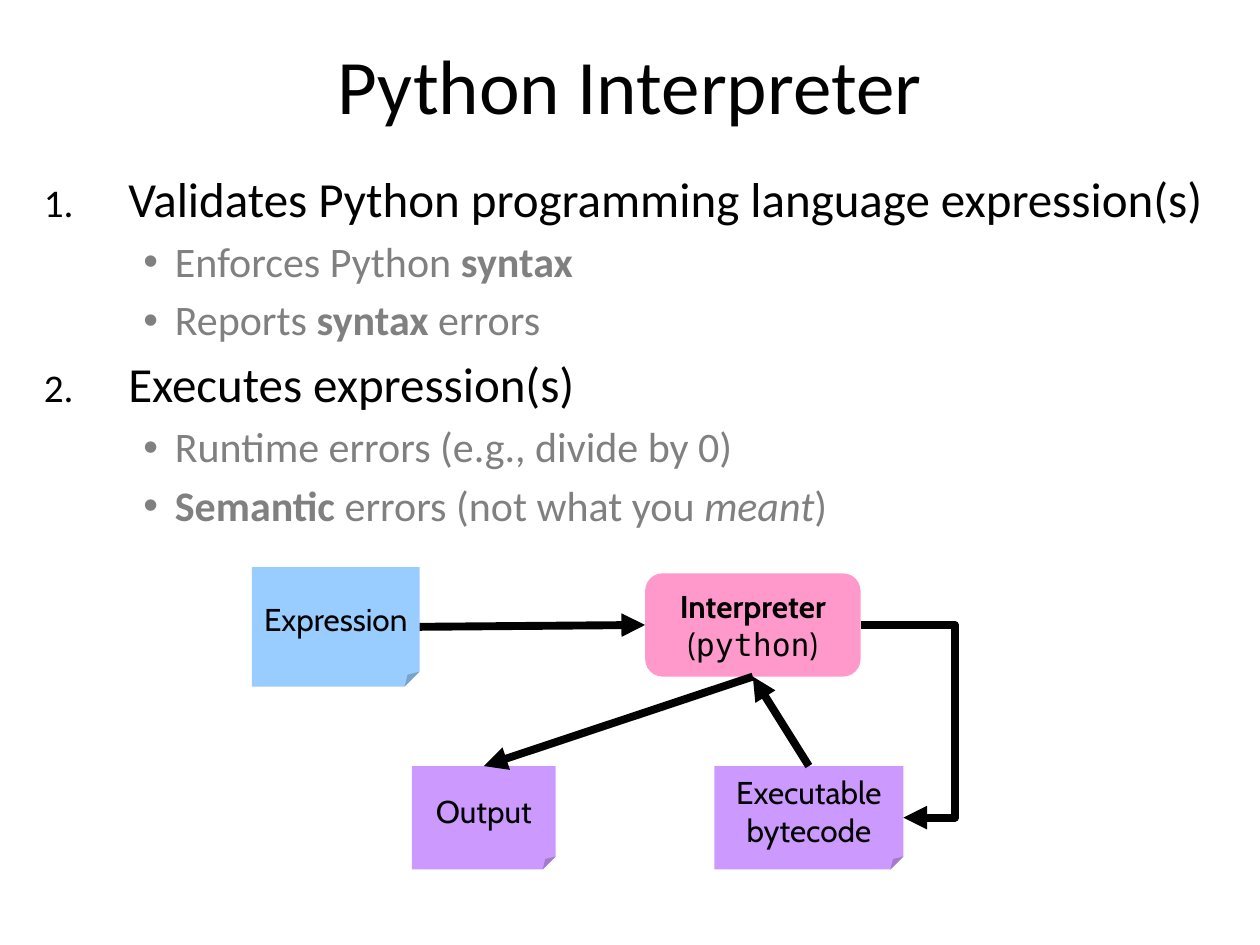
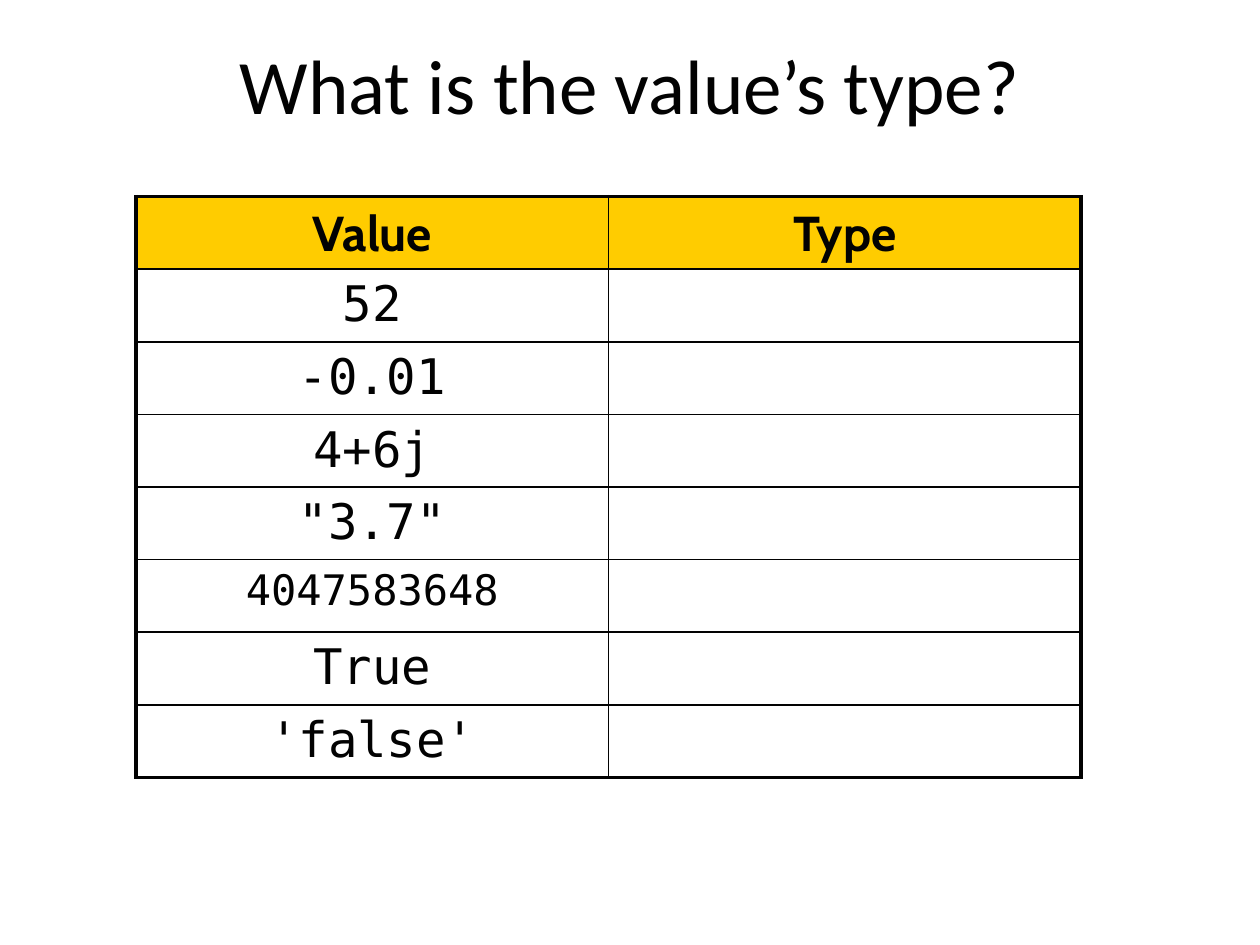
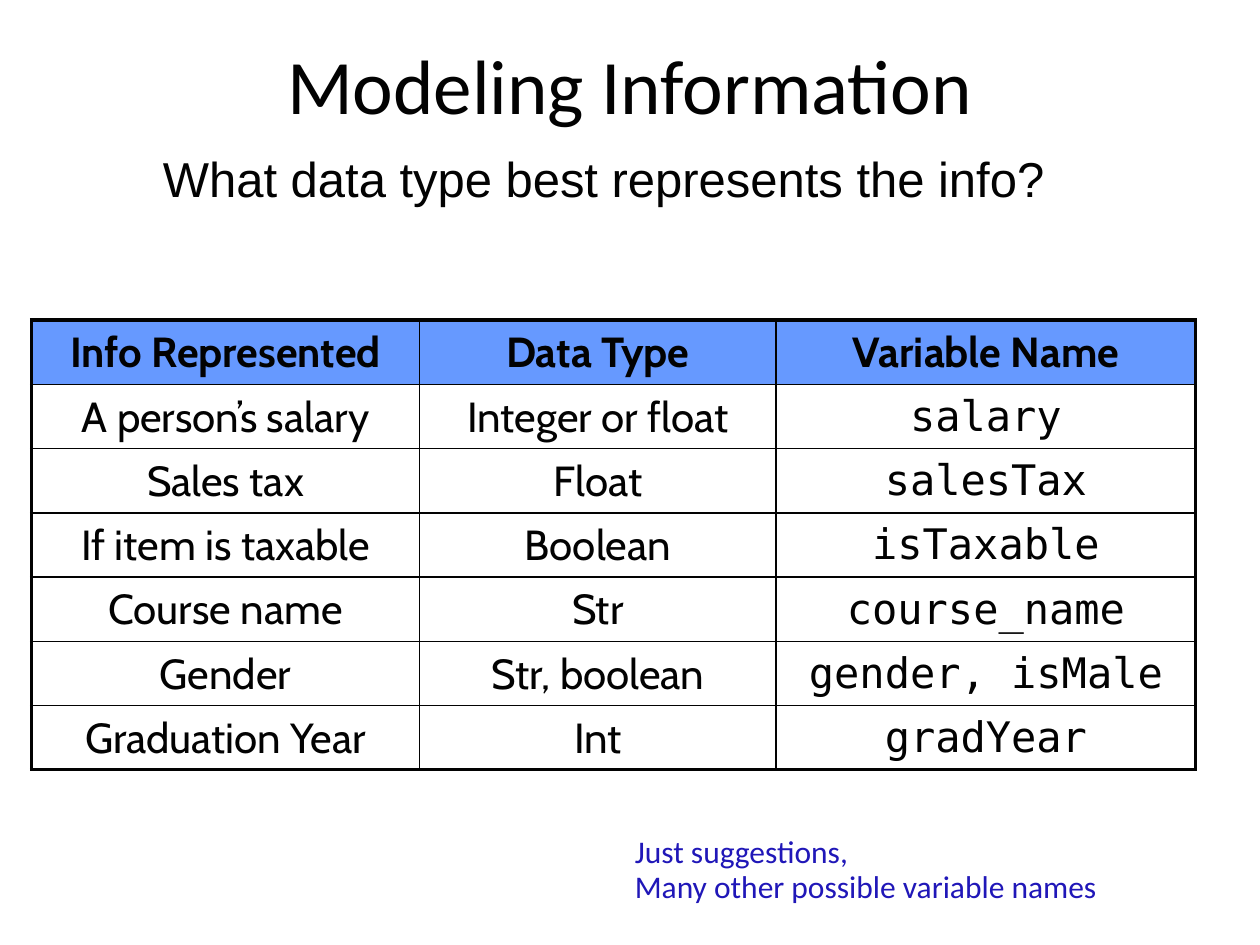
from pptx import Presentation
from pptx.dml.color import RGBColor
from pptx.enum.shapes import MSO_CONNECTOR, MSO_SHAPE
from pptx.enum.text import MSO_ANCHOR, PP_ALIGN
from pptx.oxml.ns import qn
from pptx.util import Inches, Pt
from lxml.etree import SubElement

INK = RGBColor(0x02, 0x02, 0x02)
GRAY = RGBColor(0x80, 0x80, 0x80)
WHITE = RGBColor(0xFF, 0xFF, 0xFF)
NOTE_BLUE = RGBColor(0x20, 0x17, 0xB8)
SKY = RGBColor(0x99, 0xCC, 0xFF)
PINK = RGBColor(0xFF, 0x99, 0xCC)
PURPLE = RGBColor(0xCC, 0x99, 0xFF)
GOLD = RGBColor(0xFF, 0xCC, 0x00)
HEADER_BLUE = RGBColor(0x66, 0x99, 0xFF)

HEADING, LABEL, CODE, PLAIN = "Calibri", "Cabin", "DejaVu Sans Mono", "Arial"
THIN, THICK = Pt(1), Pt(2.25)
BOLD = {"bold": True}


def add_paragraph(text_frame, runs, size=18, font=LABEL, color=INK, bold=False,
                  align=PP_ALIGN.CENTER, spacing=None, before=0):
    """Write one paragraph; runs is text or a list of text and (text, changes)."""
    paragraph = text_frame.paragraphs[0]
    if paragraph.runs:
        paragraph = text_frame.add_paragraph()
    paragraph.alignment = align
    paragraph.space_before = Pt(before)
    if spacing:
        paragraph.line_spacing = spacing
    for part in [runs] if isinstance(runs, str) else runs:
        text, changes = (part, {}) if isinstance(part, str) else part
        run = paragraph.add_run()
        run.text = text
        run.font.size = Pt(size)
        run.font.name = changes.get("font", font)
        run.font.color.rgb = color
        run.font.bold = changes.get("bold", bold)
        run.font.italic = changes.get("italic", False)
    return paragraph


def add_text_box(slide, left, top, width, height, anchor=MSO_ANCHOR.TOP):
    shape = slide.shapes.add_textbox(Inches(left), Inches(top), Inches(width), Inches(height))
    shape.text_frame.word_wrap = True
    shape.text_frame.vertical_anchor = anchor
    return shape


def add_titled_slide(presentation, title):
    slide = presentation.slides.add_slide(presentation.slide_layouts[6])
    box = add_text_box(slide, 0.25, 0.08, 9.5, 1.16, MSO_ANCHOR.MIDDLE)
    add_paragraph(box.text_frame, title, size=44, font=HEADING, spacing=1.02)
    return slide


# Outline list
def set_bullet(paragraph, margin, indent, numbered):
    properties = paragraph._p.get_or_add_pPr()
    properties.set("marL", str(Inches(margin)))
    properties.set("indent", str(Inches(indent)))
    if numbered:
        SubElement(properties, qn("a:buSzPct"), val="80000")
        SubElement(properties, qn("a:buFont"), typeface=HEADING)
        SubElement(properties, qn("a:buAutoNum"), type="arabicPeriod")
    else:
        SubElement(properties, qn("a:buFont"), typeface=PLAIN)
        SubElement(properties, qn("a:buChar"), char="•")


def add_outline(slide, left, top, width, height, sections):
    text_frame = add_text_box(slide, left, top, width, height).text_frame
    shared = {"font": HEADING, "align": PP_ALIGN.LEFT, "spacing": 0.92}
    for heading, points in sections:
        paragraph = add_paragraph(text_frame, heading, size=28, before=8, **shared)
        set_bullet(paragraph, 0.67, -0.67, numbered=True)
        for point in points:
            paragraph = add_paragraph(text_frame, point, size=24, color=GRAY, before=7, **shared)
            paragraph.level = 1
            set_bullet(paragraph, 1.04, -0.25, numbered=False)


# Flow diagram
def set_guide(shape, name, share):
    """Set a preset outline's adjustment as a share of its size."""
    guides = shape._element.spPr.find(qn("a:prstGeom")).find(qn("a:avLst"))
    for guide in list(guides):
        guides.remove(guide)
    SubElement(guides, qn("a:gd"), name=name, fmla=f"val {round(100000 * share)}")


def add_node(slide, kind, left, top, width, height, fill, lines):
    shape = slide.shapes.add_shape(kind, Inches(left), Inches(top), Inches(width), Inches(height))
    shape.shadow.inherit = False
    set_guide(shape, "adj", 0.17 if kind == MSO_SHAPE.ROUNDED_RECTANGLE else 0.125)
    shape.fill.solid()
    shape.fill.fore_color.rgb = fill
    shape.line.fill.background()
    shape.text_frame.word_wrap = False
    shape.text_frame.vertical_anchor = MSO_ANCHOR.MIDDLE
    for line in lines:
        add_paragraph(shape.text_frame, line)
    return shape


def side(shape, across, down):
    """Point on a shape, as shares of its width and height."""
    return shape.left + int(shape.width * across), shape.top + int(shape.height * down)


def add_arrow(slide, start, end, reach=None):
    """Straight arrow, or an elbow whose bend lies reach to the right of its start."""
    kind = MSO_CONNECTOR.ELBOW if reach else MSO_CONNECTOR.STRAIGHT
    connector = slide.shapes.add_connector(kind, *start, *end)
    connector.line.color.rgb = INK
    connector.line.width = Pt(4.5)
    properties = connector._element.spPr
    SubElement(properties.find(qn("a:ln")), qn("a:tailEnd"), type="triangle")
    SubElement(properties, qn("a:effectLst"))
    if reach:
        set_guide(connector, "adj1", reach / (end[0] - start[0]))


def add_flow(slide, left, top):
    note = MSO_SHAPE.FOLDED_CORNER
    lower = top + 1.58
    interpreter = add_node(slide, MSO_SHAPE.ROUNDED_RECTANGLE, left + 3.12, top + 0.05, 1.71, 0.82,
                           PINK, [[("Interpreter", BOLD)], ["(", ("python", {"font": CODE}), ")"]])
    expression = add_node(slide, note, left, top, 1.33, 0.95, SKY, ["Expression"])
    output = add_node(slide, note, left + 1.27, lower, 1.14, 0.82, PURPLE, ["Output"])
    bytecode = add_node(slide, note, left + 3.67, lower, 1.5, 0.82, PURPLE,
                        ["Executable", "bytecode"])
    add_arrow(slide, side(expression, 1, 0.5), side(interpreter, 0, 0.5))
    add_arrow(slide, side(bytecode, 0.5, 0), side(interpreter, 0.5, 1))
    add_arrow(slide, side(interpreter, 1, 0.5), side(bytecode, 1, 0.5), reach=Inches(0.75))
    add_arrow(slide, side(interpreter, 0.5, 1), side(output, 0.5, 0))


# Tables
def set_borders(cell, widths):
    properties = cell._tc.get_or_add_tcPr()
    for name, width in zip(("lnL", "lnR", "lnT", "lnB"), widths):
        line = SubElement(properties, qn(f"a:{name}"), w=str(width))
        fill = SubElement(line, qn("a:solidFill"))
        SubElement(fill, qn("a:srgbClr"), val=str(INK))


def add_grid(slide, left, top, widths, row_height, rows, header_fill, size, code_column,
             anchor=MSO_ANCHOR.TOP, small=()):
    """Table with a thick frame, thin inner rules and a coloured header row."""
    last_row, last_column = len(rows) - 1, len(widths) - 1
    table = slide.shapes.add_table(len(rows), len(widths), Inches(left), Inches(top),
                                   Inches(sum(widths)), Inches(row_height * len(rows))).table
    table.first_row = table.horz_banding = False
    for column, width in zip(table.columns, widths):
        column.width = Inches(width)
    for r, row in enumerate(rows):
        table.rows[r].height = Inches(row_height)
        for c, text in enumerate(row):
            cell = table.cell(r, c)
            cell.vertical_anchor = anchor
            edges = (c == 0, c == last_column, r == 0, r == last_row)
            set_borders(cell, [THICK if edge else THIN for edge in edges])
            if r == 0:
                cell.fill.solid()
                cell.fill.fore_color.rgb = header_fill
            else:
                cell.fill.background()
            if text:
                add_paragraph(cell.text_frame, text, size=24 if text in small else size,
                              font=CODE if r and c == code_column else LABEL,
                              bold=r == 0, spacing=1.02, before=8)


# Slides
def build_interpreter_slide(presentation):
    slide = add_titled_slide(presentation, "Python Interpreter")
    add_outline(slide, 0.25, 1.33, 9.5, 3.25, [
        ("Validates Python programming language expression(s)", [
            ["Enforces Python ", ("syntax", BOLD)],
            ["Reports ", ("syntax", BOLD), " errors"]]),
        ("Executes expression(s)", [
            "Runtime errors (e.g., divide by 0)",
            [("Semantic", BOLD), " errors (not what you ", ("meant", {"italic": True}), ")"]]),
    ])
    add_flow(slide, 2, 4.5)


def build_types_slide(presentation):
    slide = add_titled_slide(presentation, "What is the value’s type?")
    values = ["52", "-0.01", "4+6j", '"3.7"', "4047583648", "True", "'false'"]
    rows = [("Value", "Type")] + [(value, "") for value in values]
    add_grid(slide, 1.08, 1.56, (3.75, 3.75), 4.61 / len(rows), rows, GOLD, 28,
             code_column=0, small=("4047583648",))


def build_modeling_slide(presentation):
    slide = add_titled_slide(presentation, "Modeling Information")
    add_grid(slide, 0.25, 2.54, (3.08, 2.83, 3.33), 0.51, [
        ("Info Represented", "Data Type", "Variable Name"),
        ("A person’s salary", "Integer or float", "salary"),
        ("Sales tax", "Float", "salesTax"),
        ("If item is taxable", "Boolean", "isTaxable"),
        ("Course name", "Str", "course_name"),
        ("Gender", "Str, boolean", "gender, isMale"),
        ("Graduation Year", "Int", "gradYear"),
    ], HEADER_BLUE, 24, code_column=2, anchor=MSO_ANCHOR.MIDDLE)
    question = add_text_box(slide, 0.25, 1.17, 9.08, 0.57)
    add_paragraph(question.text_frame, "What data type best represents the info?",
                  size=28, font=PLAIN, spacing=0.93)
    remark = add_text_box(slide, 4.94, 6.58, 5.06, 0.86)
    remark.fill.solid()
    remark.fill.fore_color.rgb = WHITE
    for line in ("Just suggestions,", "Many other possible variable names"):
        add_paragraph(remark.text_frame, line, font=HEADING, color=NOTE_BLUE,
                      align=PP_ALIGN.LEFT, spacing=0.93)


def main():
    presentation = Presentation()
    presentation.slide_width, presentation.slide_height = Inches(10), Inches(7.5)
    build_interpreter_slide(presentation)
    build_types_slide(presentation)
    build_modeling_slide(presentation)
    presentation.save("out.pptx")


if __name__ == "__main__":
    main()
